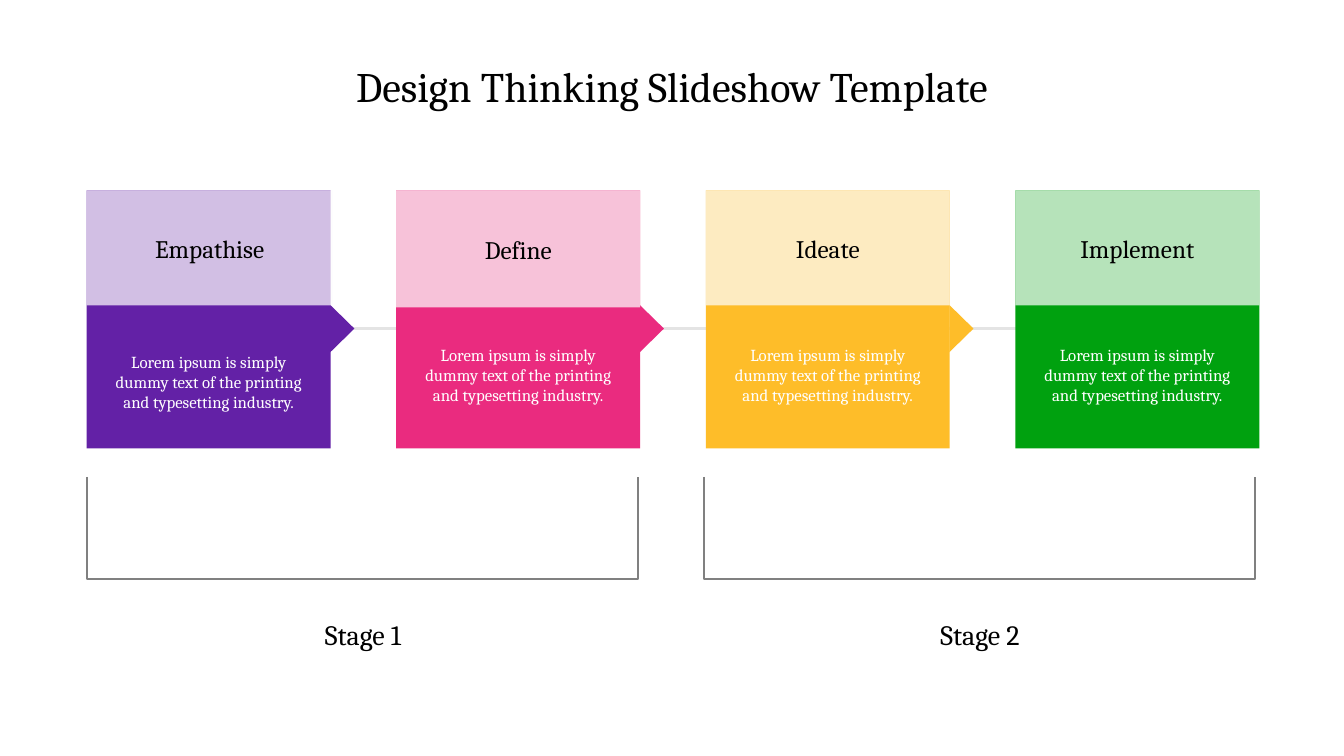
from pptx import Presentation
from pptx.dml.color import RGBColor
from pptx.enum.shapes import MSO_CONNECTOR as Connector, MSO_SHAPE as Preset
from pptx.enum.text import MSO_ANCHOR as Anchor, MSO_AUTO_SIZE as AutoSize, PP_ALIGN as Align
from pptx.oxml.ns import qn
from pptx.util import Inches, Pt
from lxml.etree import SubElement

BODY = "Lorem ipsum is simply dummy text of the printing and typesetting industry."
STEPS = [
    ("Empathise", "6321A6", 3.29, 2.44, 1.14),
    ("Define", "EA2B7F", 3.22, 2.42, 1.16),
    ("Ideate", "FEBD29", 3.22, 2.42, 1.14),
    ("Implement", "00A10F", 3.22, 2.42, 1.14),
]
LEFT, TOP, STEP_PITCH = 0.86, 1.89, 3.07
CARD_WIDTH, CARD_HEIGHT = 2.42, 2.56
STAGE_PITCH = 6.12


def colour(value):
    return RGBColor.from_string(value)


def write(frame, text, size=12, font="Cambria", ink="000000", anchor=Anchor.MIDDLE, inset=0.1):
    frame.word_wrap = True
    frame.auto_size = AutoSize.NONE
    frame.vertical_anchor = anchor
    frame.margin_left = frame.margin_right = Inches(0.1)
    frame.margin_top = frame.margin_bottom = Inches(inset)
    para = frame.paragraphs[0]
    para.alignment = Align.CENTER
    span = para.add_run()
    span.text = text
    span.font.size = Pt(size)
    span.font.name = font
    span.font.color.rgb = colour(ink)


class StageSlide:
    """Draws the elements of a staged process on one slide."""

    def __init__(self, page, font="Cambria", rule="808080", track="E4E4E4"):
        self.page = page
        self.shapes = page.shapes
        self.font = font
        self.rule = rule
        self.track = track

    def title(self, text):
        box = self.shapes.title
        box.left, box.top, box.width, box.height = map(Inches, (0, 0.55, 13.33, 0.61))
        write(box.text_frame, text, size=30, font=self.font, anchor=Anchor.TOP, inset=0.05)

    def line(self, left, right, y):
        link = self.shapes.add_connector(
            Connector.STRAIGHT, Inches(left), Inches(y), Inches(right), Inches(y))
        link.line.color.rgb = colour(self.track)
        link.line.width = Pt(2.25)
        SubElement(link._element.spPr, qn("a:effectLst"))

    def shape(self, preset, place, fill, opacity=100, rotation=0):
        box = self.shapes.add_shape(preset, *map(Inches, place))
        box.shadow.inherit = False
        box.rotation = rotation
        box.fill.solid()
        box.fill.fore_color.rgb = colour(fill)
        box.line.fill.background()
        if opacity < 100:
            tint = box._element.spPr.find(qn("a:solidFill")).find(qn("a:srgbClr"))
            SubElement(tint, qn("a:alpha"), val=str(opacity * 1000))
        return box

    def text(self, text, place, **style):
        box = self.shapes.add_textbox(*map(Inches, place))
        write(box.text_frame, text, font=self.font, **style)

    def bracket(self, left, top, width, height):
        right, bottom = left + width, top + height
        builder = self.shapes.build_freeform(Inches(left), Inches(top))
        corners = [(left, bottom), (right, bottom), (right, top)]
        builder.add_line_segments([(Inches(x), Inches(y)) for x, y in corners], close=False)
        outline = builder.convert_to_shape()
        outline.shadow.inherit = False
        outline.fill.background()
        outline.line.color.rgb = colour(self.rule)
        outline.line.width = Pt(1.5)

    def step(self, left, name, fill, body_top, head_width, head_height, pointer):
        self.shape(Preset.RECTANGLE, (left, TOP, CARD_WIDTH, CARD_HEIGHT), fill)
        if pointer:
            self.shape(Preset.ISOSCELES_TRIANGLE, (left + 2.3, 3.14, 0.47, 0.24), fill, rotation=90)
        head = self.shape(Preset.RECTANGLE, (left, TOP, head_width, head_height), "FDFDFD", opacity=72)
        write(head.text_frame, name, size=18, font=self.font)
        self.text(BODY, (left + 0.07, body_top, 2.28, 0.99), ink="FFFFFF")


def main():
    deck = Presentation()
    deck.slide_width, deck.slide_height = Inches(13.33), Inches(7.5)
    slide = StageSlide(deck.slides.add_slide(deck.slide_layouts[5]))
    slide.title("Design Thinking Slideshow Template")
    slide.line(3.29, 12.2, 3.26)
    for index, step in enumerate(STEPS):
        slide.step(LEFT + index * STEP_PITCH, *step, pointer=index < len(STEPS) - 1)
    for index in range(2):
        shift = index * STAGE_PITCH
        slide.bracket(LEFT + shift, 4.73, 5.47, 1.01)
        slide.text(f"Stage {index + 1}", (2.49 + shift, 6.1, 2.22, 0.39), size=20, inset=0.05)
    deck.save("out.pptx")


if __name__ == "__main__":
    main()
